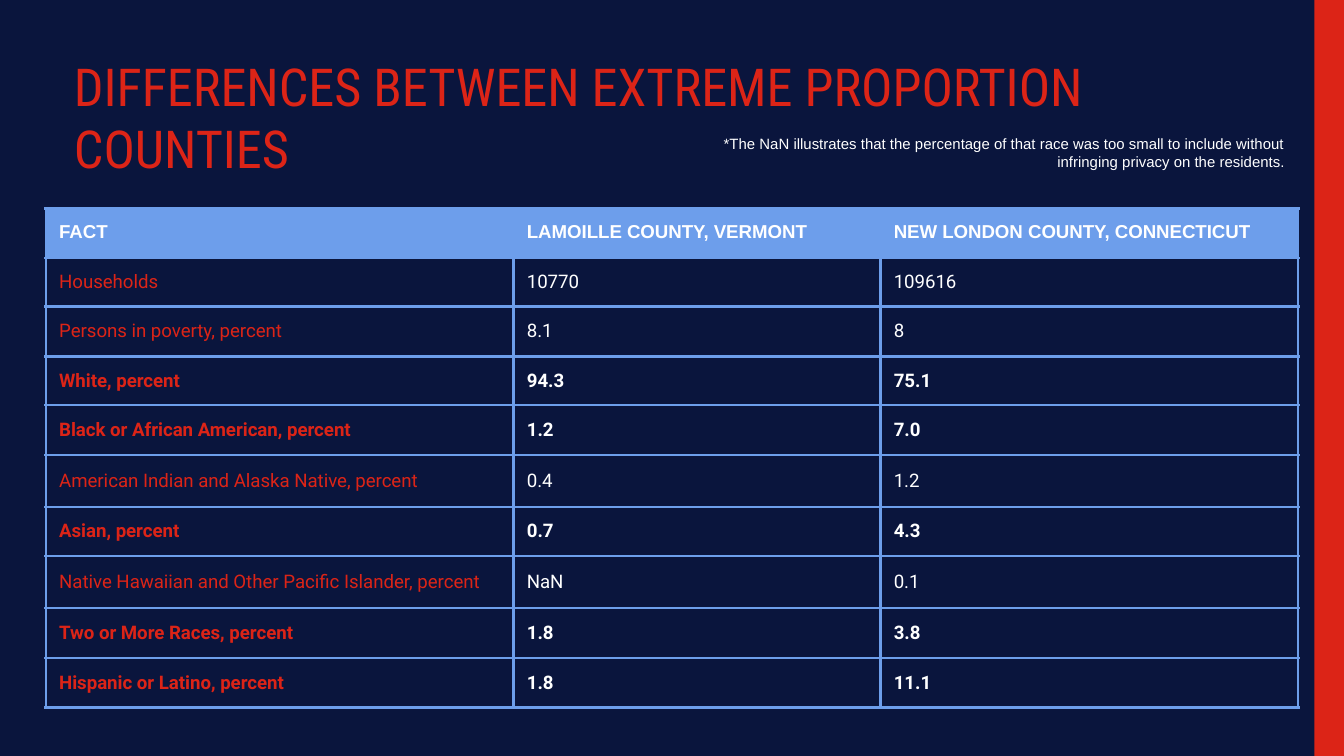
"""Build a slide with a table comparing two counties."""
from typing import Any, NamedTuple

from lxml import etree
from pptx import Presentation
from pptx import util as u
from pptx.dml.color import RGBColor
from pptx.enum import shapes, text
from pptx.oxml.ns import qn

NAVY, RED, BLUE, WHITE = "0A153D", "DC2417", "6D9EEB", "FFFFFF"
PAD = u.Inches(0.1)
WIDE = 10
HIGH = WIDE * 9 / 16


class Box(NamedTuple):
    left: float
    top: float
    width: float
    height: float

    def emu(self) -> list[int]:
        return [u.Inches(n) for n in self]


class Bar(NamedTuple):
    box: Box
    color: str


class Fact(NamedTuple):
    label: str
    first: str
    second: str
    bold: bool = False
    height: float = 0.37


BARS = [
    Bar(Box(0, 0, WIDE, HIGH), NAVY),
    Bar(Box(9.78, 0, 0.22, HIGH), RED),
]
HEADS = ["FACT", "LAMOILLE COUNTY, VERMONT", "NEW LONDON COUNTY, CONNECTICUT"]
WIDTHS = [3.48, 2.73, 3.11]
FACTS = [
    Fact("Households", "10770", "109616", height=0.34),
    Fact("Persons in poverty, percent", "8.1", "8"),
    Fact("White, percent", "94.3", "75.1", True, 0.33),
    Fact("Black or African American, percent", "1.2", "7.0", True),
    Fact("American Indian and Alaska Native, percent", "0.4", "1.2", height=0.39),
    Fact("Asian, percent", "0.7", "4.3", True, 0.36),
    Fact("Native Hawaiian and Other Pacific Islander, percent", "NaN", "0.1",
         height=0.39),
    Fact("Two or More Races, percent", "1.8", "3.8", True),
    Fact("Hispanic or Latino, percent", "1.8", "11.1", True),
]


def paint(target: Any, color: str) -> None:
    target.solid()
    target.fore_color.rgb = RGBColor.from_string(color)


def write(frame: Any, words: str, *, size: float, font: str = "Arial",
          color: str = WHITE, bold: bool = False,
          align: Any = text.PP_ALIGN.LEFT) -> None:
    para = frame.paragraphs[0]
    para.alignment = align
    run = para.add_run()
    run.text = words
    run.font.size = u.Pt(size)
    run.font.name = font
    run.font.bold = bold
    paint(run.font.fill, color)


def pad(frame: Any) -> None:
    frame.word_wrap = True
    frame.auto_size = text.MSO_AUTO_SIZE.NONE
    frame.vertical_anchor = text.MSO_ANCHOR.TOP
    frame.margin_left = frame.margin_right = PAD
    frame.margin_top = frame.margin_bottom = PAD


def border(cell: Any, color: str, points: float) -> None:
    props = cell._tc.get_or_add_tcPr()
    for spot, side in enumerate(("lnL", "lnR", "lnT", "lnB")):
        line = etree.Element(qn(f"a:{side}"), w=str(u.Pt(points)))
        fill = etree.SubElement(line, qn("a:solidFill"))
        etree.SubElement(fill, qn("a:srgbClr"), val=color)
        props.insert(spot, line)


def draw_bar(slide: Any, bar: Bar) -> None:
    shape = slide.shapes.add_shape(shapes.MSO_SHAPE.RECTANGLE, *bar.box.emu())
    shape.shadow.inherit = False
    paint(shape.fill, bar.color)
    shape.line.fill.background()


def draw_title(slide: Any, words: str, box: Box) -> None:
    title = slide.shapes.title
    title.left, title.top, title.width, title.height = box.emu()
    title._element.getparent().append(title._element)
    pad(title.text_frame)
    write(title.text_frame, words, size=28, font="Roboto Condensed", color=RED)


def draw_note(slide: Any, words: str, box: Box) -> None:
    frame = slide.shapes.add_textbox(*box.emu()).text_frame
    pad(frame)
    write(frame, words, size=8, align=text.PP_ALIGN.RIGHT)


def fill_cell(cell: Any, words: str, head: bool, **style: Any) -> None:
    cell.margin_left = cell.margin_right = PAD
    cell.margin_top = cell.margin_bottom = PAD
    cell.vertical_anchor = text.MSO_ANCHOR.TOP if head else text.MSO_ANCHOR.MIDDLE
    if head:
        paint(cell.fill, BLUE)
    else:
        cell.fill.background()
    border(cell, BLUE, 1.5)
    write(cell.text_frame, words, size=10, **style)


def draw_table(slide: Any, left: float, top: float) -> None:
    tall = [0.37] + [fact.height for fact in FACTS]
    box = Box(left, top, sum(WIDTHS), sum(tall))
    grid = slide.shapes.add_table(len(tall), len(WIDTHS), *box.emu()).table
    for col, width in zip(grid.columns, WIDTHS):
        col.width = u.Inches(width)
    for row, height in zip(grid.rows, tall):
        row.height = u.Inches(height)
    for x, head in enumerate(HEADS):
        fill_cell(grid.cell(0, x), head, True, bold=True)
    for y, fact in enumerate(FACTS, 1):
        for x, words in enumerate(fact[:3]):
            fill_cell(grid.cell(y, x), words, False, font="Roboto",
                      color=WHITE if x else RED, bold=fact.bold)


def main() -> None:
    deck = Presentation()
    deck.slide_width, deck.slide_height = u.Inches(WIDE), u.Inches(HIGH)
    slide = deck.slides.add_slide(deck.slide_layouts[5])
    for bar in BARS:
        draw_bar(slide, bar)
    draw_title(slide, "DIFFERENCES BETWEEN EXTREME PROPORTION COUNTIES",
               Box(0.45, 0.3, 9.1, 0.66))
    draw_note(slide, "*The NaN illustrates that the percentage of that race was "
              "too small to include without infringing privacy on the residents.",
              Box(4.98, 0.9, 4.68, 0.47))
    draw_table(slide, 0.34, 1.55)
    deck.save("out.pptx")


if __name__ == "__main__":
    main()
